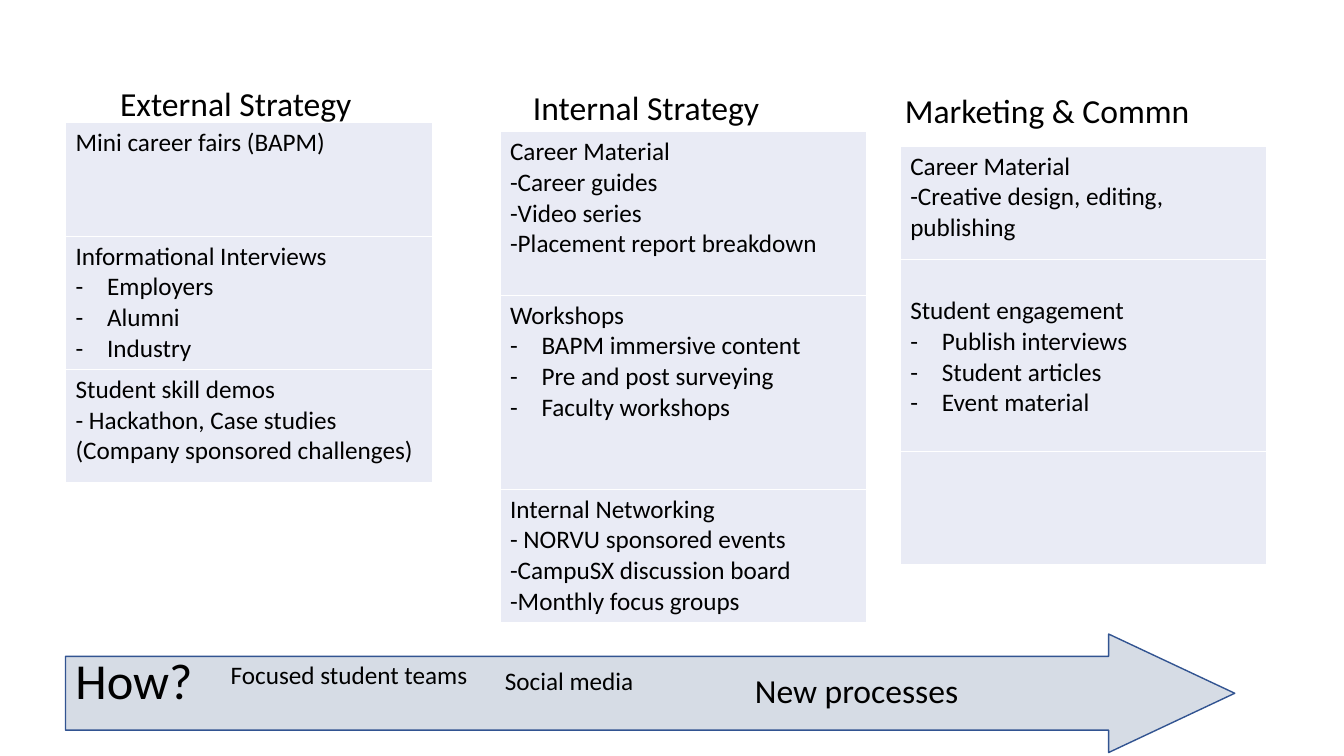
import pptx
import pptx.util
import pptx.dml.color
import pptx.enum.shapes
import pptx.enum.text
import pptx.oxml.ns
import lxml.etree
from dataclasses import dataclass

Pt = pptx.util.Pt
RGB = pptx.dml.color.RGBColor.from_string


@dataclass
class Theme:
    font: str = "Calibri"
    text: str = "000000"
    cell: str = "E9EBF5"
    arrow: str = "D6DCE5"
    outline: str = "325491"
    body: int = 18
    heading: int = 24
    large: int = 36


theme = Theme()


def format_runs(p, size):
    for r in p.runs:
        r.font.name = theme.font
        r.font.size = Pt(size)
        r.font.color.rgb = RGB(theme.text)


def add_dash(p):
    pPr = p._p.get_or_add_pPr()
    pPr.set("marL", str(Pt(22.5)))
    pPr.set("indent", str(-Pt(22.5)))
    for tag, key, value in (("a:buFont", "typeface", theme.font), ("a:buChar", "char", "-")):
        lxml.etree.SubElement(pPr, pptx.oxml.ns.qn(tag)).set(key, value)


prs = pptx.Presentation()
prs.slide_width, prs.slide_height = Pt(960), Pt(540)
s = prs.slides.add_slide(prs.slide_layouts[0])
title = s.shapes.title
title.element.getparent().remove(title.element)
subtitle = s.placeholders[1]

# Arrow band
arrow = s.shapes.add_shape(pptx.enum.shapes.MSO_SHAPE.RIGHT_ARROW,
                           Pt(46.8), Pt(452.9), Pt(835.2), Pt(84.6))
arrow.adjustments[0], arrow.adjustments[1] = 0.623, 1.064
arrow.shadow.inherit = False
arrow.fill.solid()
arrow.fill.fore_color.rgb = RGB(theme.arrow)
arrow.line.color.rgb = RGB(theme.outline)
arrow.line.width = Pt(1)

# Strategy headings: text, left, top
headings = [
    ("External Strategy", -20.2, 59),
    ("Internal Strategy", 272.9, 62),
    ("Marketing & Commn", 559.4, 64.1),
]
for i, (text, left, top) in enumerate(headings):
    sp = subtitle if i == 0 else s.shapes.add_textbox(0, 0, 0, 0)
    sp.left, sp.top, sp.width, sp.height = Pt(left), Pt(top), Pt(377.3), Pt(45.4)
    tf = sp.text_frame
    tf.text = text
    tf.word_wrap = True
    tf.auto_size = pptx.enum.text.MSO_AUTO_SIZE.NONE
    tf.vertical_anchor = pptx.enum.text.MSO_ANCHOR.TOP
    p = tf.paragraphs[0]
    p.alignment = pptx.enum.text.PP_ALIGN.CENTER
    p.line_spacing = 0.9
    p.space_before = Pt(10)
    format_runs(p, theme.heading)

# Strategy tables: left, top, rows of (height, top margin, plain lines, dashed lines)
tables = [
    (46.8, 87.5, [
        (81.2, 3.6, ["Mini career fairs (BAPM)"], []),
        (95, 3.6, ["Informational Interviews "], ["Employers", "Alumni", "Industry"]),
        (81.2, 3.6, ["Student skill demos",
                     "- Hackathon, Case studies (Company sponsored challenges)"], []),
    ]),
    (357.1, 94, [
        (116.8, 3.6, ["Career Material", "-Career guides", "-Video series",
                      "-Placement report breakdown"], []),
        (138.6, 3.6, ["Workshops"], ["BAPM immersive content", "Pre and post surveying",
                                     "Faculty workshops"]),
        (95, 3.6, ["Internal Networking", "- NORVU sponsored events",
                   "-CampuSX discussion board", "-Monthly focus groups"], []),
    ]),
    (643, 104.4, [
        (81.2, 3.6, ["Career Material", "-Creative design, editing, publishing"], []),
        (136.8, 25.6, ["Student engagement"], ["Publish interviews", "Student articles",
                                               "Event material"]),
        (81.2, 3.6, [], []),
    ]),
]
for left, top, rows in tables:
    height = sum(row[0] for row in rows)
    table = s.shapes.add_table(len(rows), 1, Pt(left), Pt(top), Pt(262), Pt(height)).table
    table.first_row = False
    table.horz_banding = False
    for i, (row_height, margin, plain, dashed) in enumerate(rows):
        table.rows[i].height = Pt(row_height)
        cell = table.cell(i, 0)
        cell.fill.solid()
        cell.fill.fore_color.rgb = RGB(theme.cell)
        cell.margin_top = Pt(margin)
        tf = cell.text_frame
        tf.text = "\n".join(plain + dashed)
        for j, p in enumerate(tf.paragraphs):
            format_runs(p, theme.body)
            if dashed and j >= len(plain):
                add_dash(p)

# Labels on the arrow: text, left, top, width, height, size, wrap
labels = [
    ("Focused student teams", 157.7, 467.3, 185.8, 28.8, theme.body, False),
    ("Social media", 353.5, 471.6, 107.3, 28.8, theme.body, False),
    ("How?", 46.8, 460.1, 808.6, 51.1, theme.large, True),
    ("New processes", 532.1, 475.2, 222.5, 36, theme.heading, True),
]
for text, left, top, width, height, size, wrap in labels:
    tf = s.shapes.add_textbox(Pt(left), Pt(top), Pt(width), Pt(height)).text_frame
    tf.text = text
    tf.word_wrap = wrap
    tf.auto_size = pptx.enum.text.MSO_AUTO_SIZE.SHAPE_TO_FIT_TEXT
    format_runs(tf.paragraphs[0], size)

prs.save("out.pptx")
